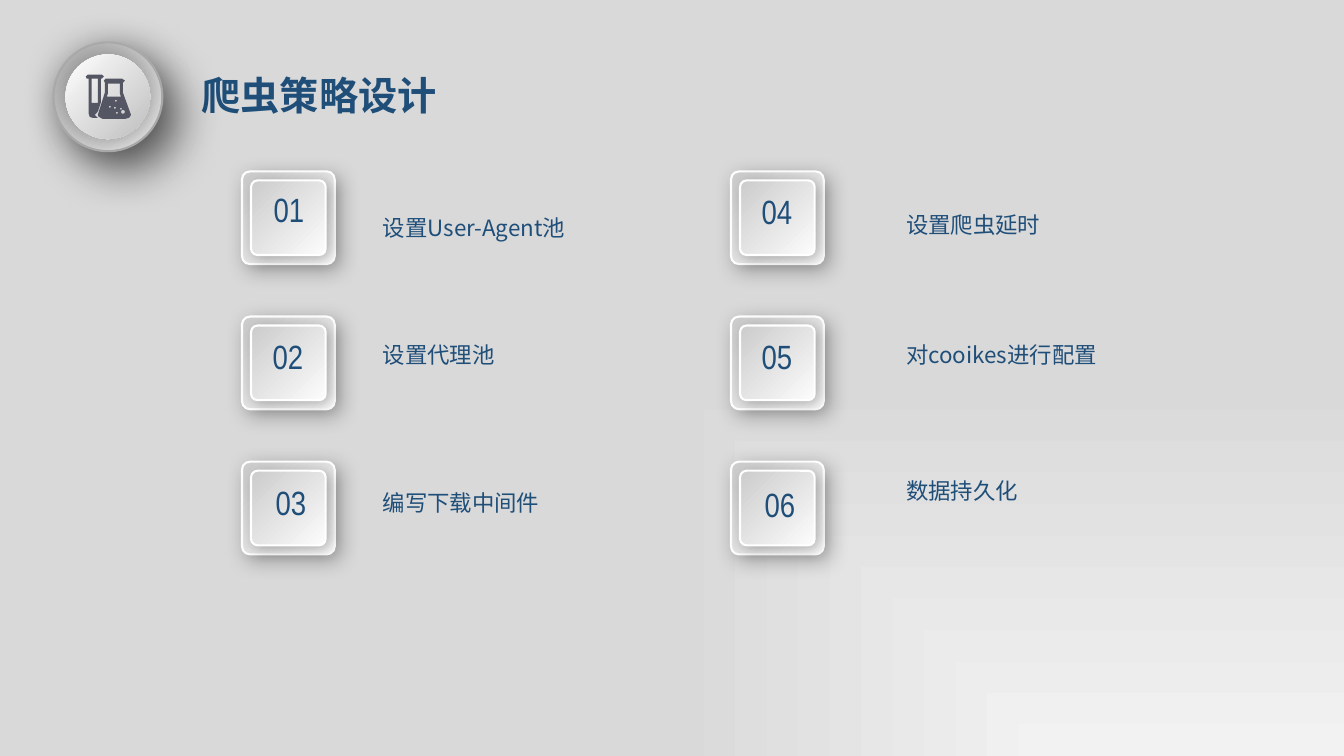
"""Build the crawler strategy slide: a flask badge, a title and six numbered tiles."""
from dataclasses import dataclass
from math import cos, pi, sin

from lxml.etree import SubElement
from pptx import Presentation
from pptx.dml.color import RGBColor
from pptx.enum.shapes import MSO_SHAPE
from pptx.enum.text import MSO_ANCHOR, PP_ALIGN
from pptx.oxml.ns import qn
from pptx.util import Inches, Pt


@dataclass(frozen=True)
class Theme:
    text: str = "1F4E79"
    icon: str = "545763"
    tile_rim: str = "FFFFFF"
    badge_rim: str = "BFBFBF"
    tile_fill: tuple = ("CCCCCC", "FCFCFC")
    badge_fill: tuple = ("FFFFFF", "BFBFBF")
    button_fill: tuple = ("BFBFBF", "FFFFFF")
    background: tuple = ("F2F2F2", "D9D9D9")
    title_size: int = 28
    number_size: int = 24
    label_size: int = 16
    font: str = "Noto Sans CJK SC"
    number_font: str = "Arial Narrow"


theme = Theme()


def paint_gradient(properties, colors, shading):
    """Replace the solid fill by a linear or a corner-focused gradient."""
    solid = properties.find(qn("a:solidFill"))
    gradient = properties.makeelement(qn("a:gradFill"), {"rotWithShape": "1"})
    stops = SubElement(gradient, qn("a:gsLst"))
    for position, color in zip(("0", "100000"), colors):
        stop = SubElement(stops, qn("a:gs"), pos=position)
        SubElement(stop, qn("a:srgbClr"), val=color)
    if shading == "linear":
        SubElement(gradient, qn("a:lin"), ang=str(45 * 60000), scaled="0")
    else:
        focus = SubElement(gradient, qn("a:path"), {"path": shading})
        SubElement(focus, qn("a:fillToRect"), l="100000", t="100000")
    properties.replace(solid, gradient)


def write_text(shape, text, size, font, bold=False, alignment=PP_ALIGN.LEFT):
    """Write one formatted paragraph into a shape."""
    frame = shape.text_frame
    frame.word_wrap = True
    frame.vertical_anchor = MSO_ANCHOR.TOP
    frame.text = text
    paragraph = frame.paragraphs[0]
    paragraph.alignment = alignment
    paragraph.line_spacing = 1.0
    paragraph.space_before = Pt(0)
    paragraph.font.size = Pt(size)
    paragraph.font.bold = bold
    paragraph.font.name = font
    paragraph.font.color.rgb = RGBColor.from_string(theme.text)
    defaults = paragraph._p.pPr.find(qn("a:defRPr"))
    SubElement(defaults, qn("a:ea"), typeface=font)


presentation = Presentation()
presentation.slide_width = Inches(13.33)
presentation.slide_height = Inches(7.5)
slide = presentation.slides.add_slide(presentation.slide_layouts[5])
slide.background.fill.solid()
paint_gradient(slide._element.find(".//" + qn("p:bgPr")), theme.background, "rect")

tile_columns = (2.4, 7.25)
label_columns = (3.7, 8.89)
first_row, row_pitch = 1.7, 1.44
tile_size, tile_inset = 0.92, 0.09
items = [
    (0, 0, "01", 0.02, 0.13, "设置User-Agent池", 2.08),
    (1, 0, "04", 0.01, 0.14, "设置爬虫延时", 2.05),
    (0, 1, "02", 0.01, 0.14, "设置代理池", 3.34),
    (1, 1, "05", 0.01, 0.14, "对cooikes进行配置", 3.34),
    (0, 2, "03", 0.04, 0.15, "编写下载中间件", 4.8),
    (1, 2, "06", 0.04, 0.17, "数据持久化", 4.68),
]

badge = (MSO_SHAPE.OVAL, "circle")
tile = (MSO_SHAPE.ROUNDED_RECTANGLE, "linear")
plates = [
    (badge, 0.53, 0.42, 1.08, theme.badge_fill, theme.badge_rim, (55, 33, 18, 50)),
    (badge, 0.65, 0.54, 0.84, theme.button_fill, None, (55, 33, 0, 0)),
]
for column, row, *_ in items:
    left, top = tile_columns[column], first_row + row * row_pitch
    for inset, shadow in ((0, (30, 15, 5, 45)), (tile_inset, (30, 11, 3, 45))):
        plates.append((tile, left + inset, top + inset, tile_size - 2 * inset,
                       theme.tile_fill, theme.tile_rim, shadow))

for (geometry, shading), left, top, size, colors, rim, shadow in plates:
    plate = slide.shapes.add_shape(
        geometry, Inches(left), Inches(top), Inches(size), Inches(size))
    if geometry == MSO_SHAPE.ROUNDED_RECTANGLE:
        plate.adjustments[0] = 0.087
    plate.fill.solid()
    paint_gradient(plate._element.spPr, colors, shading)
    if rim:
        plate.line.color.rgb = RGBColor.from_string(rim)
        plate.line.width = Pt(1.5)
    else:
        plate.line.fill.background()
    plate.shadow.inherit = False
    opacity, blur, distance, angle = shadow
    effects = plate._element.spPr.find(qn("a:effectLst"))
    outer = SubElement(effects, qn("a:outerShdw"), blurRad=str(Pt(blur)),
                       dist=str(Pt(distance)), dir=str(angle * 60000),
                       algn="ctr", rotWithShape="0")
    shade = SubElement(outer, qn("a:srgbClr"), val="000000")
    SubElement(shade, qn("a:alpha"), val=str(opacity * 1000))

test_tube = [
    [(0.97, 1.17), (0.92, 1.17), (0.89, 1.16), (0.88, 1.13), (0.88, 0.78),
     (0.86, 0.78), (0.85, 0.76), (0.87, 0.74), (1.01, 0.74), (1.03, 0.76),
     (1.01, 0.78), (1, 0.78), (1, 1.02), (0.98, 1.08), (0.97, 1.09),
     (0.98, 1.09), (0.96, 1.12), (0.94, 1.14), (0.96, 1.16)],
    [(0.91, 1.02), (0.91, 0.78), (0.97, 0.78), (0.97, 1.02)],
]
flask = [
    [(1.22, 0.92), (1.22, 0.82), (1.24, 0.8), (1.21, 0.78), (1.05, 0.78),
     (1.03, 0.8), (1.04, 0.82), (1.04, 0.92), (0.97, 1.14), (0.98, 1.16),
     (1.02, 1.18), (1.24, 1.18), (1.28, 1.17), (1.3, 1.14)],
    [(1.07, 0.93), (1.07, 0.83), (1.19, 0.83), (1.19, 0.93), (1.2, 0.96), (1.06, 0.96)],
]
bubbles = [(1.09, 1.06, 0.01), (1.14, 1.07, 0.01), (1.15, 1, 0.01),
           (1.16, 1.12, 0.01), (1.2, 1.08, 0.01), (1.22, 1.11, 0.02)]
for x, y, radius in bubbles:
    flask.append([(x + radius * cos(step * pi / 4), y + radius * sin(step * pi / 4))
                  for step in range(8)])

for outlines in (test_tube, flask):
    builder = None
    for outline in outlines:
        points = [(x * 1000, y * 1000) for x, y in outline]
        if builder is None:
            builder = slide.shapes.build_freeform(*points[0], scale=Inches(1) / 1000)
        else:
            builder.move_to(*points[0])
        builder.add_line_segments(points[1:], close=True)
    glass = builder.convert_to_shape()
    glass.fill.solid()
    glass.fill.fore_color.rgb = RGBColor.from_string(theme.icon)
    glass.line.fill.background()
    glass.shadow.inherit = False

title = slide.shapes.title
title.left, title.top = Inches(1.9), Inches(0.66)
title.width, title.height = Inches(3.4), Inches(0.57)
write_text(title, "爬虫策略设计", theme.title_size, theme.font, bold=True)

for column, row, number, shift, drop, label, label_top in items:
    number_box = slide.shapes.add_textbox(
        Inches(tile_columns[column] + shift), Inches(first_row + row * row_pitch + drop),
        Inches(0.89), Inches(0.5))
    write_text(number_box, number, theme.number_size, theme.number_font,
               alignment=PP_ALIGN.CENTER)
    label_box = slide.shapes.add_textbox(
        Inches(label_columns[column]), Inches(label_top), Inches(2.54), Inches(0.37))
    write_text(label_box, label, theme.label_size, theme.font)

presentation.save("out.pptx")
